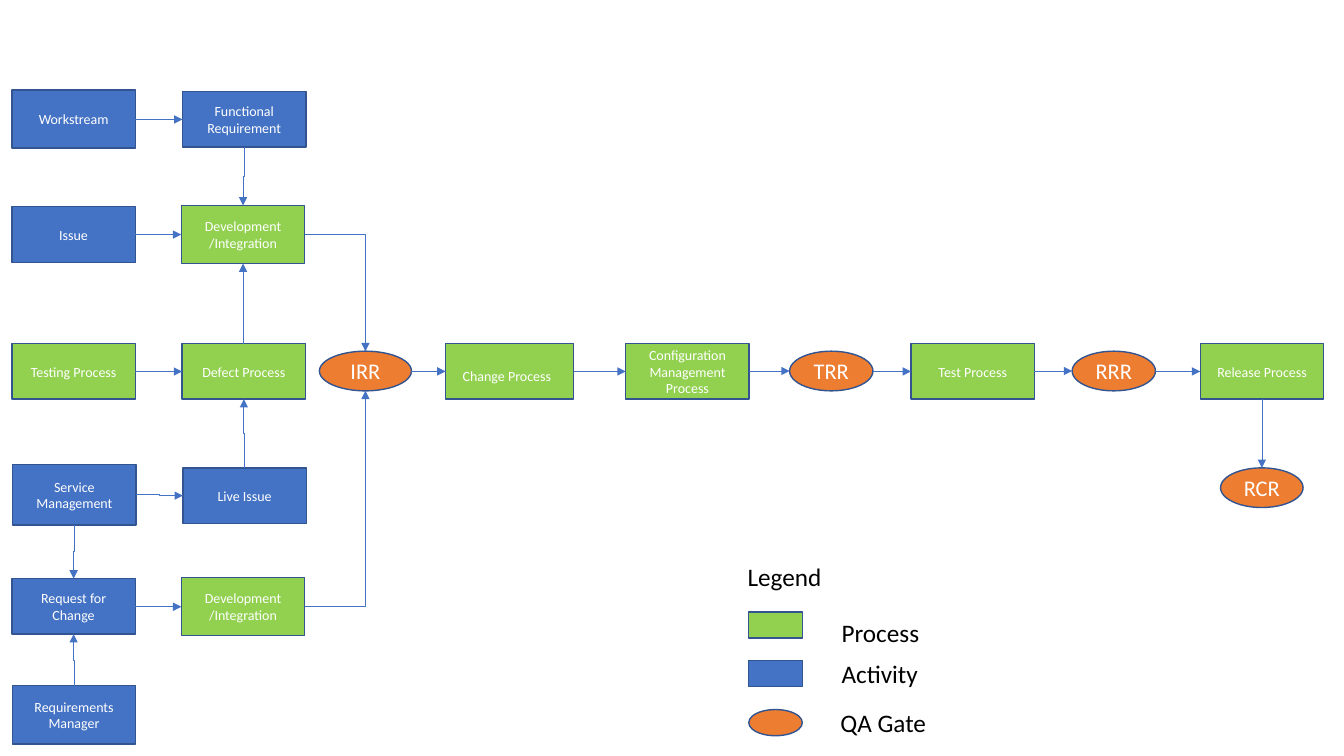
from pptx import Presentation
from pptx.dml.color import RGBColor
from pptx.enum.shapes import MSO_CONNECTOR, MSO_SHAPE
from pptx.enum.text import MSO_ANCHOR, MSO_AUTO_SIZE, PP_ALIGN
from pptx.oxml.ns import qn
from pptx.util import Cm, Pt
from lxml.etree import SubElement

HUES = {"process": "92D050", "activity": "4472C4", "gate": "ED7D31",
        "edge": "325491", "arrow": "4472C4", "light": "FFFFFF", "dark": "000000"}
TOP, LEFT, BOTTOM, RIGHT = range(4)
BOX_W, BOX_H, ROW = 3.11, 1.4, 8.66
GATE_W, GATE_H, GATE_Y = 2.1, 1, 8.85

# name: kind, text, left, top, width, height in cm
NODES = {
    "work": ("activity", "Workstream", 0.3, 2.27, BOX_W, 1.46),
    "func": ("activity", "Functional Requirement", 4.6, 2.31, BOX_W, BOX_H),
    "issue": ("activity", "Issue", 0.3, 5.21, BOX_W, BOX_H),
    "dev": ("process", "Development /Integration", 4.57, 5.18, BOX_W, 1.46),
    "testing": ("process", "Testing Process", 0.3, ROW, BOX_W, BOX_H),
    "defect": ("process", "Defect Process", 4.59, ROW, BOX_W, BOX_H),
    "service": ("activity", "Service Management", 0.32, 11.71, BOX_W, 1.52),
    "live": ("activity", "Live Issue", 4.61, 11.79, BOX_W, BOX_H),
    "request": ("activity", "Request for Change", 0.3, 14.58, BOX_W, BOX_H),
    "build": ("process", "Development /Integration", 4.57, 14.56, BOX_W, 1.46),
    "manager": ("activity", "Requirements Manager", 0.31, 17.28, BOX_W, 1.47),
    "irr": ("gate", "IRR", 8.05, GATE_Y, 2.32, GATE_H),
    "change": ("process", "Change Process", 11.23, ROW, 3.23, BOX_H),
    "config": ("process", "Configuration Management Process", 15.77, ROW, BOX_W, BOX_H),
    "trr": ("gate", "TRR", 19.9, GATE_Y, GATE_W, GATE_H),
    "test": ("process", "Test Process", 22.96, ROW, BOX_W, BOX_H),
    "rrr": ("gate", "RRR", 27.02, GATE_Y, GATE_W, GATE_H),
    "release": ("process", "Release Process", 30.25, ROW, BOX_W, BOX_H),
    "rcr": ("gate", "RCR", 30.76, 11.79, 2.08, GATE_H),
}
ACROSS = [("work", "func"), ("issue", "dev"), ("testing", "defect"),
          ("service", "live"), ("request", "build"), ("irr", "change"),
          ("change", "config"), ("config", "trr"), ("trr", "test"),
          ("test", "rrr"), ("rrr", "release")]
DOWN = [("func", "dev"), ("service", "request"), ("release", "rcr")]
UP = [("defect", "dev"), ("live", "defect"), ("manager", "request")]
# kind, label, swatch top, label left, label top, label width
LEGEND = [("process", "Process", 15.42, 20.96, 15.42, 2.51),
          ("activity", "Activity", 16.64, 20.96, 16.46, 2.51),
          ("gate", "QA Gate", 17.88, 20.93, 17.7, 3.1)]


def hue(name):
    return RGBColor.from_string(HUES[name])


def style(run, size, tone):
    run.font.name = "Calibri"
    run.font.size = Pt(size)
    run.font.color.rgb = hue(tone)


def add_node(slide, kind, text, *place):
    form = MSO_SHAPE.OVAL if kind == "gate" else MSO_SHAPE.RECTANGLE
    node = slide.shapes.add_shape(form, *map(Cm, place))
    node.shadow.inherit = False
    node.fill.solid()
    node.fill.fore_color.rgb = hue(kind)
    node.line.color.rgb = hue("edge")
    node.line.width = Pt(1)
    if text:
        frame = node.text_frame
        frame.word_wrap = True
        frame.vertical_anchor = MSO_ANCHOR.MIDDLE
        frame.text = text
        para = frame.paragraphs[0]
        para.alignment = PP_ALIGN.CENTER
        style(para.runs[0], 16 if kind == "gate" else 10, "light")
    return node


def add_label(slide, text, *place):
    box = slide.shapes.add_textbox(*map(Cm, place))
    frame = box.text_frame
    frame.word_wrap = True
    frame.auto_size = MSO_AUTO_SIZE.SHAPE_TO_FIT_TEXT
    frame.text = text
    style(frame.paragraphs[0].runs[0], 18, "dark")


def turn(link):
    """Rotate an elbow so that it leaves and arrives vertically."""
    rise = link.end_y - link.begin_y
    run, span = abs(link.end_x - link.begin_x), abs(rise)
    mid_x = (link.begin_x + link.end_x) // 2
    mid_y = (link.begin_y + link.end_y) // 2
    link.left, link.top = mid_x - span // 2, mid_y - run // 2
    link.width, link.height = span, run
    frame = link._element.spPr.find(qn("a:xfrm"))
    frame.attrib.pop("flipH", None)
    frame.attrib.pop("flipV", None)
    frame.set("rot", str((90 if rise > 0 else 270) * 60000))
    if rise < 0:
        frame.set("flipV", "1")


def add_arrow(slide, nodes, start, end, exit, entry):
    link = slide.shapes.add_connector(MSO_CONNECTOR.ELBOW, 0, 0, 0, 0)
    link.begin_connect(nodes[start], exit)
    link.end_connect(nodes[end], entry)
    # An ellipse has eight sites, two for each side
    joints = link._element.nvCxnSpPr.cNvCxnSpPr
    for name, joint, side in ((start, joints.stCxn, exit), (end, joints.endCxn, entry)):
        if NODES[name][0] == "gate":
            joint.idx = side * 2
    if exit in (TOP, BOTTOM):
        turn(link)
    elif entry in (TOP, BOTTOM):
        link._element.spPr.find(qn("a:prstGeom")).set("prst", "bentConnector2")
    link.line.color.rgb = hue("arrow")
    link.line.width = Pt(0.5)
    SubElement(link.line._get_or_add_ln(), qn("a:tailEnd"), type="triangle")
    SubElement(link._element.spPr, qn("a:effectLst"))


def main():
    deck = Presentation()
    deck.slide_width, deck.slide_height = Cm(33.87), Cm(19.05)
    slide = deck.slides.add_slide(deck.slide_layouts[6])

    # Boxes and gates
    nodes = {name: add_node(slide, *spec) for name, spec in NODES.items()}
    gap = nodes["change"].text_frame.paragraphs[0].add_run()
    gap.text = " "
    style(gap, 18, "light")

    # Arrows
    for start, end in ACROSS:
        add_arrow(slide, nodes, start, end, RIGHT, LEFT)
    for start, end in DOWN:
        add_arrow(slide, nodes, start, end, BOTTOM, TOP)
    for start, end in UP:
        add_arrow(slide, nodes, start, end, TOP, BOTTOM)
    add_arrow(slide, nodes, "dev", "irr", RIGHT, TOP)
    add_arrow(slide, nodes, "build", "irr", RIGHT, BOTTOM)

    # Legend
    add_label(slide, "Legend", 18.59, 14.02, 3.61, 1.02)
    for kind, text, y, left, top, width in LEGEND:
        add_node(slide, kind, "", 18.87, y, 1.35, 0.66)
        add_label(slide, text, left, top, width, 1.02)

    deck.save("out.pptx")


if __name__ == "__main__":
    main()
